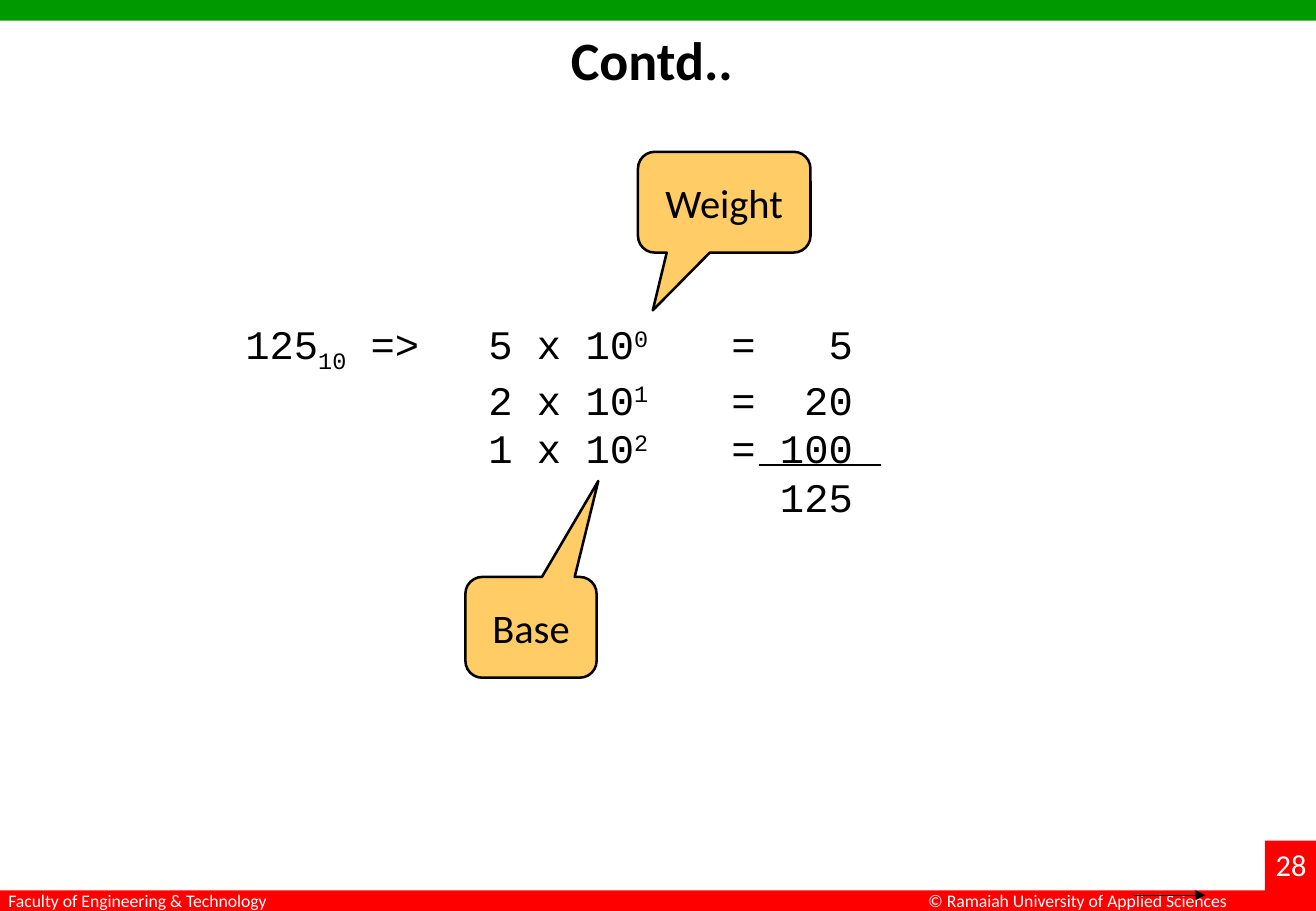
import pptx
import pptx.dml.color
import pptx.enum.shapes
import pptx.enum.text
import pptx.oxml
import pptx.oxml.ns
import pptx.util

Inches = pptx.util.Inches
Pt = pptx.util.Pt
SHAPES = pptx.enum.shapes.MSO_SHAPE
CENTER = pptx.enum.text.PP_ALIGN.CENTER
TOP = pptx.enum.text.MSO_ANCHOR.TOP
MIDDLE = pptx.enum.text.MSO_ANCHOR.MIDDLE

WIDTH, HEIGHT = 10.83, 7.5
BAR_HEIGHT = 0.17
GREEN, RED, ORANGE = "009900", "FF0000", "FFCC66"
BLACK, WHITE = "000000", "FFFFFF"
BODY = {"name": "Calibri", "size": Pt(24), "color": BLACK}
TITLE = {"name": "Calibri", "size": Pt(32), "bold": True, "color": BLACK}
FOOTER = {"name": "Calibri", "size": Pt(10.5), "color": WHITE}
PAGE_NUMBER = {"name": "Calibri", "size": Pt(18), "color": WHITE}
CODE = {"name": "Courier New", "size": Pt(24), "color": BLACK}
SUBSCRIPT, SUPERSCRIPT = -25, 30


def rgb(color):
    return pptx.dml.color.RGBColor.from_string(color)


def inches(values):
    return [Inches(value) for value in values]


def add_run(paragraph, text, style, baseline=0):
    run = paragraph.add_run()
    run.text = text
    for name, value in style.items():
        if name == "color":
            run.font.color.rgb = rgb(value)
        else:
            setattr(run.font, name, value)
    if baseline:
        run._r.get_or_add_rPr().set("baseline", str(baseline * 1000))


def add_filled_shape(slide, kind, box, fill, line_width=0):
    shape = slide.shapes.add_shape(kind, *inches(box))
    shape.shadow.inherit = False
    shape.fill.solid()
    shape.fill.fore_color.rgb = rgb(fill)
    if line_width:
        shape.line.color.rgb = rgb(BLACK)
        shape.line.width = Pt(line_width)
    else:
        shape.line.fill.background()
    return shape


def add_label(slide, box, text, style):
    frame = slide.shapes.add_textbox(*inches(box)).text_frame
    frame.word_wrap = False
    add_run(frame.paragraphs[0], text, style)


def add_rule(slide, left, top, length, width, arrow=False):
    line = slide.shapes.add_connector(
        pptx.enum.shapes.MSO_CONNECTOR.STRAIGHT,
        *inches((left, top, left + length, top)))
    line.line.color.rgb = rgb(BLACK)
    line.line.width = Pt(width)
    if arrow:
        tail = pptx.oxml.parse_xml(
            f'<a:tailEnd {pptx.oxml.ns.nsdecls("a")} type="triangle"/>')
        line.line._get_or_add_ln().append(tail)
    line._element.spPr.append(
        pptx.oxml.parse_xml(f'<a:effectLst {pptx.oxml.ns.nsdecls("a")}/>'))


def add_frame(slide, width, height):
    """Draw the coloured bars, the footer texts and the page number."""
    bottom = height - BAR_HEIGHT
    corner = 0.42
    add_filled_shape(slide, SHAPES.RECTANGLE, (0, 0, width, BAR_HEIGHT), GREEN)
    add_filled_shape(slide, SHAPES.RECTANGLE, (0, bottom, width, BAR_HEIGHT), RED)
    add_label(slide, (7.54, bottom - 0.05, 2.7, 0.28),
              "© Ramaiah University of Applied Sciences", FOOTER)
    add_filled_shape(slide, SHAPES.RECTANGLE,
                     (width - corner, height - 0.58, corner, 0.58), RED)
    add_label(slide, (width - 0.43, height - 0.58, 0.5, 0.4), "28", PAGE_NUMBER)
    add_label(slide, (-0.03, bottom - 0.05, 2.38, 0.28),
              "Faculty of Engineering & Technology", FOOTER)
    add_rule(slide, 9.33, bottom + 0.04, 0.59, 0.75, arrow=True)


def add_title(slide, box):
    title = slide.shapes.title
    title.left, title.top, title.width, title.height = inches(box)
    title.text_frame.vertical_anchor = TOP
    paragraph = title.text_frame.paragraphs[0]
    paragraph.alignment = CENTER
    add_run(paragraph, "Contd.. ", TITLE)


def set_tabs(paragraph, stops):
    tab_list = pptx.oxml.parse_xml(f'<a:tabLst {pptx.oxml.ns.nsdecls("a")}/>')
    for position, alignment in stops:
        tab = tab_list.makeelement(pptx.oxml.ns.qn("a:tab"), {
            "pos": str(Inches(position)), "algn": alignment})
        tab_list.append(tab)
    paragraph._p.get_or_add_pPr().append(tab_list)


def add_expansion(slide, box):
    """Write the decimal number as a sum of weighted digits."""
    left, top = box[:2]
    frame = slide.shapes.add_textbox(*inches(box)).text_frame
    frame.word_wrap = True
    paragraph = frame.paragraphs[0]
    set_tabs(paragraph, [(2, "l"), (4, "l"), (5, "r")])
    add_run(paragraph, "125", CODE)
    add_run(paragraph, "10", CODE, SUBSCRIPT)
    add_run(paragraph, " =>", CODE)
    for power, digit in enumerate((5, 2, 1)):
        add_run(paragraph, f"\t{digit} x 10", CODE)
        add_run(paragraph, str(power), CODE, SUPERSCRIPT)
        add_run(paragraph, f"\t=\t{digit * 10 ** power}", CODE)
        paragraph.add_line_break()
    add_run(paragraph, "\t\t\t125", CODE)
    add_rule(slide, left + 4.33, top + 1.25, 1, 1.5)


def add_callout(slide, box, text, tip):
    """Tip is the pointer's offset from the centre, as shares of the box."""
    callout = add_filled_shape(
        slide, SHAPES.ROUNDED_RECTANGULAR_CALLOUT, box, ORANGE, 1.5)
    for index, value in enumerate((*tip, 0.167)):
        callout.adjustments[index] = value
    frame = callout.text_frame
    frame.word_wrap = True
    frame.vertical_anchor = MIDDLE
    paragraph = frame.paragraphs[0]
    paragraph.alignment = CENTER
    add_run(paragraph, text, BODY)


def main():
    presentation = pptx.Presentation()
    presentation.slide_width, presentation.slide_height = inches((WIDTH, HEIGHT))
    slide = presentation.slides.add_slide(presentation.slide_layouts[5])
    add_frame(slide, WIDTH, HEIGHT)
    add_title(slide, (0.54, 0.17, 9.75, 1.25))
    add_expansion(slide, (1.92, 2.58, 6.58, 1.7))
    add_callout(slide, (3.83, 4.75, 1.08, 0.83), "Base", (0.513, -1.452))
    add_callout(slide, (5.25, 1.25, 1.42, 0.83), "Weight", (-0.414, 1.073))
    presentation.save("out.pptx")


if __name__ == "__main__":
    main()
